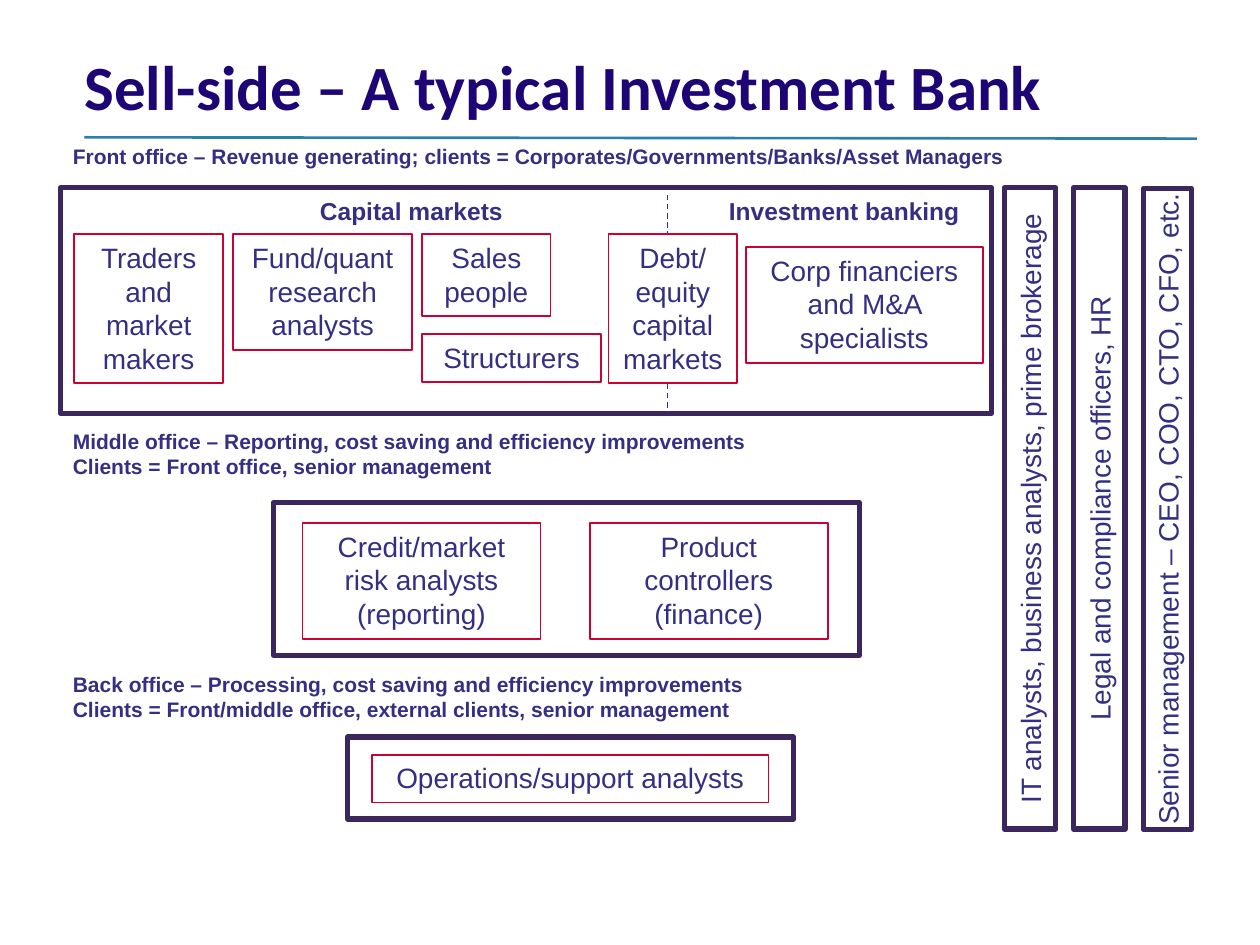
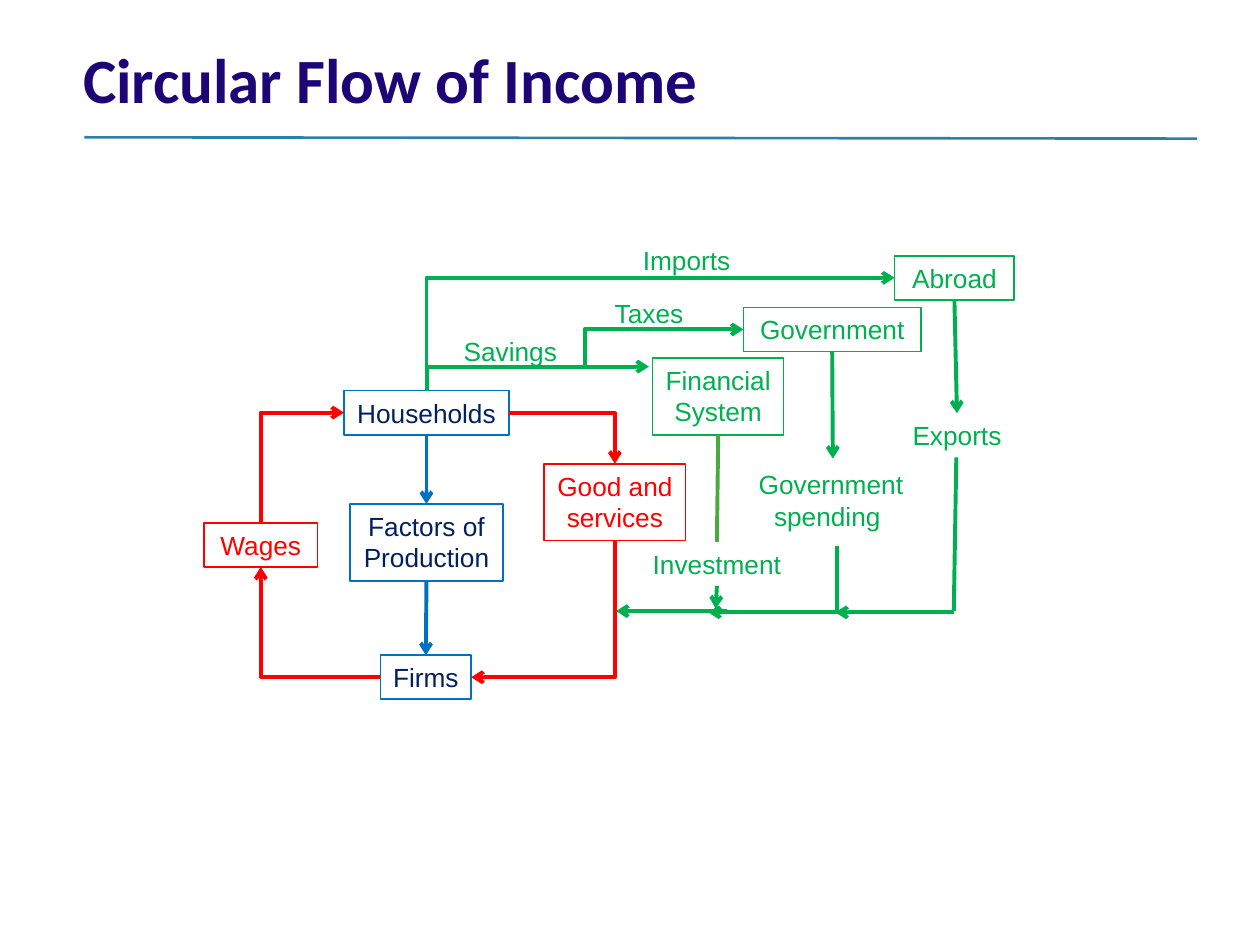
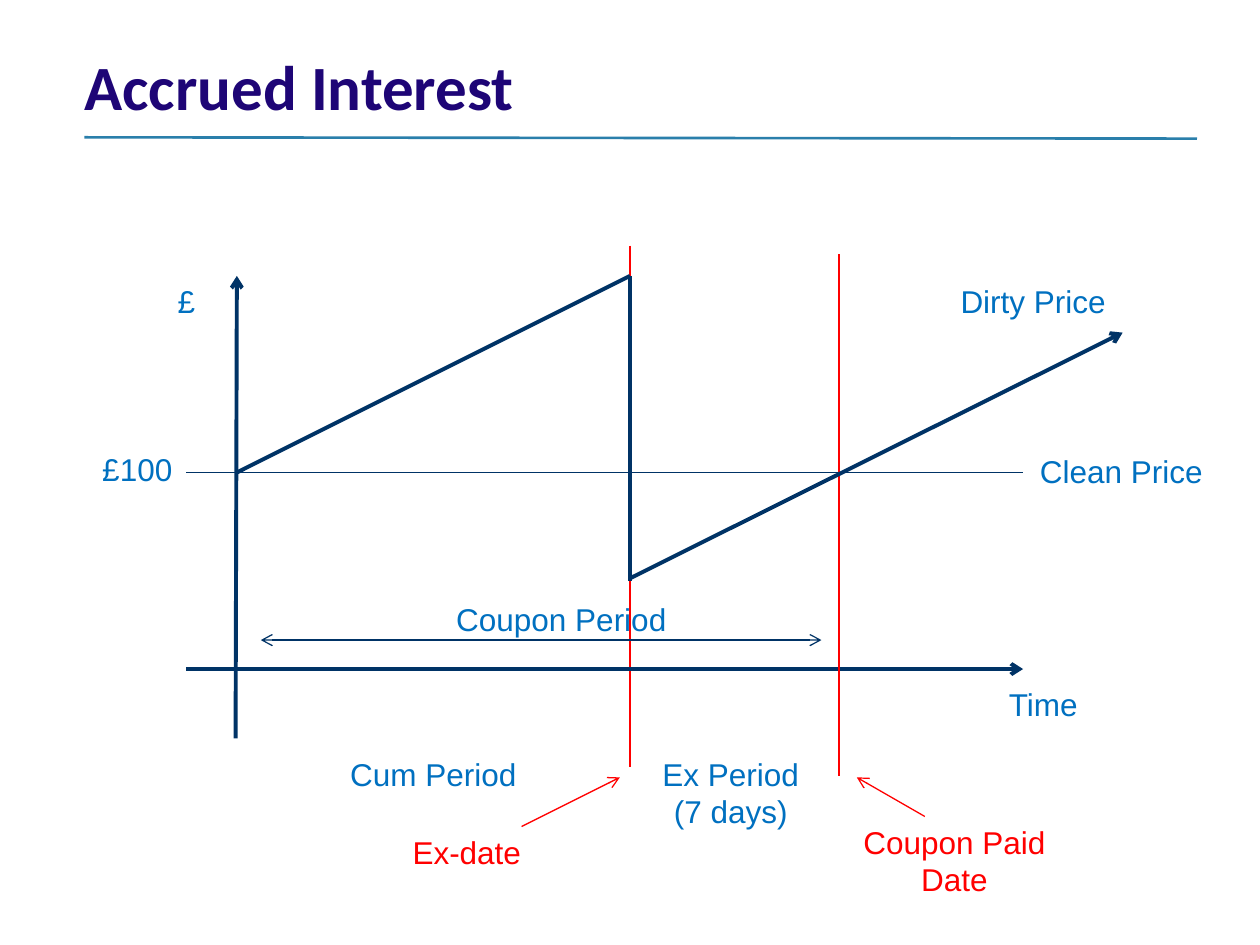
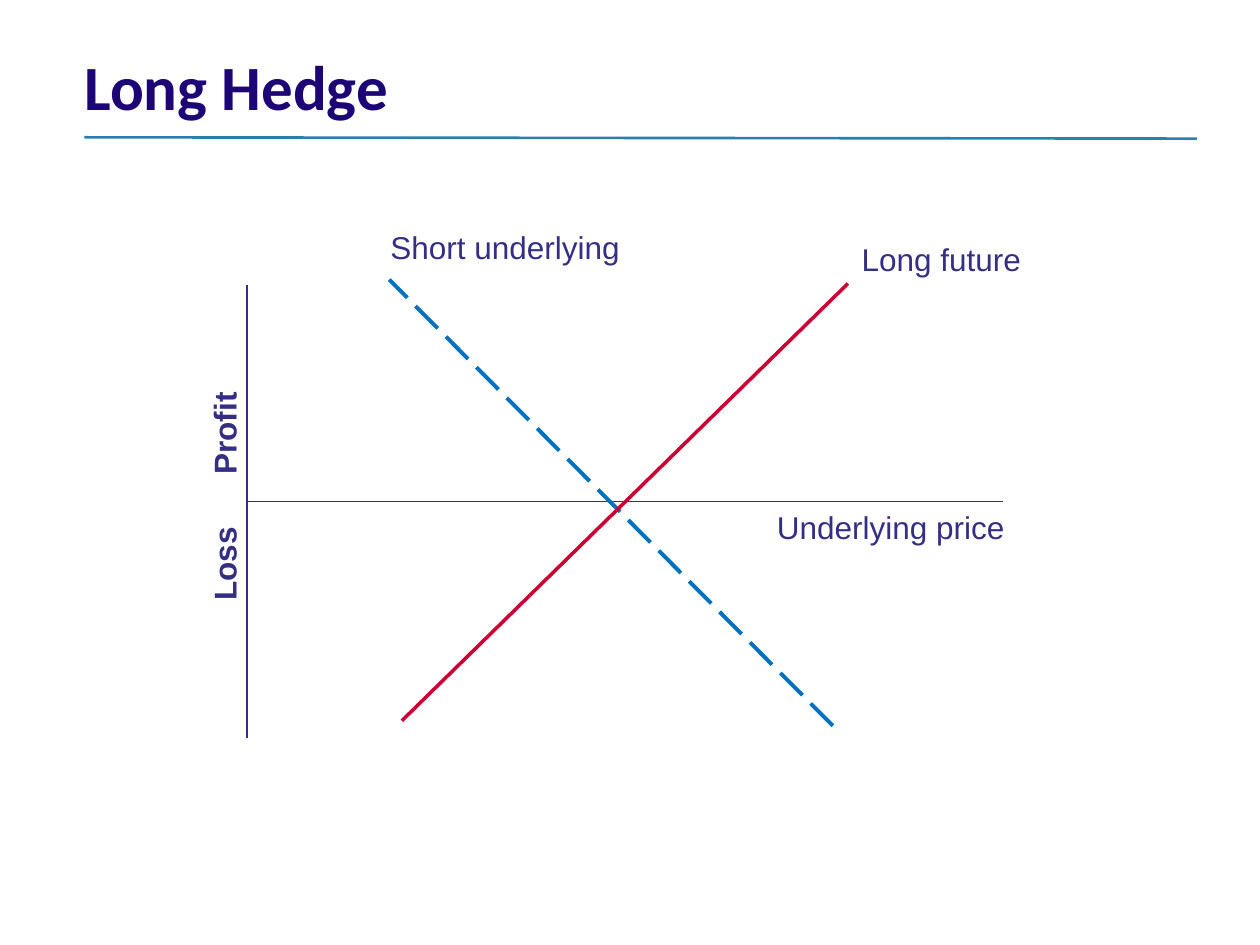
from dataclasses import dataclass

from pptx import Presentation
from pptx.dml.color import RGBColor
from pptx.enum.dml import MSO_LINE
from pptx.enum.shapes import MSO_CONNECTOR, MSO_SHAPE
from pptx.enum.text import MSO_ANCHOR, MSO_AUTO_SIZE, PP_ALIGN
from pptx.oxml.ns import qn
from pptx.util import Pt
from lxml import etree

PX = 9144  # one px is a hundredth of an inch
LEFT, CENTER, RIGHT = PP_ALIGN.LEFT, PP_ALIGN.CENTER, PP_ALIGN.RIGHT
TOP_ANCHOR, MIDDLE_ANCHOR = MSO_ANCHOR.TOP, MSO_ANCHOR.MIDDLE
GROW, FIXED = MSO_AUTO_SIZE.SHAPE_TO_FIT_TEXT, MSO_AUTO_SIZE.NONE
STRAIGHT, ELBOW = MSO_CONNECTOR.STRAIGHT, MSO_CONNECTOR.ELBOW
DASH, LONG_DASH = MSO_LINE.DASH, MSO_LINE.LONG_DASH
TOP_SITE, LEFT_SITE, BOTTOM_SITE, RIGHT_SITE = range(4)


@dataclass(frozen=True)
class Theme:
    title_font: str = "Calibri"
    body_font: str = "Arial"
    title_size: int = 36
    chart_size: int = 18
    role_size: int = 16
    flow_size: int = 15
    group_size: int = 14
    office_size: int = 12
    title: str = "1E0576"
    rule: str = "2A7FAB"
    indigo: str = "352F84"
    purple: str = "3B265E"
    crimson: str = "CC0033"
    white: str = "FFFFFF"
    red: str = "FF0000"
    blue: str = "0070C0"
    navy: str = "002060"
    axis: str = "003366"
    green: str = "00B050"
    leaf: str = "4AAA42"


theme = Theme()


def add_box(page, frame, text="", size=theme.role_size, color=theme.indigo, align=CENTER,
            bold=False, line=None, line_width=1, fill=None, rotation=0, upright=True):
    """Add a text box, or a rectangle when it has a line or a fill."""
    frame = [value * PX for value in frame]
    if line or fill:
        box = page.shapes.add_shape(MSO_SHAPE.RECTANGLE, *frame)
        box.shadow.inherit = False
    else:
        box = page.shapes.add_textbox(*frame)
    if fill:
        box.fill.solid()
        box.fill.fore_color.rgb = RGBColor.from_string(fill)
    else:
        box.fill.background()
    if line:
        box.line.color.rgb = RGBColor.from_string(line)
        box.line.width = Pt(line_width)
    else:
        box.line.fill.background()
    box.rotation = rotation
    if text:
        body = box.text_frame
        body.text = text
        body.word_wrap = upright
        body.auto_size = GROW if upright else FIXED
        body.vertical_anchor = TOP_ANCHOR if upright else MIDDLE_ANCHOR
        for para in body.paragraphs:
            para.alignment = align
            para.font.name = theme.body_font
            para.font.size = Pt(size)
            para.font.bold = bold
            para.font.color.rgb = RGBColor.from_string(color)
    return box


def add_line(page, start, end, color, width, ends="", dash=None, bend=None):
    """Join two points or (box, site) pairs; ends names the ends with arrowheads.

    bend is None (straight), "middle", "across" (across first) or "upright" (upright first).
    """
    line = page.shapes.add_connector(ELBOW if bend else STRAIGHT, 0, 0, 0, 0)
    if isinstance(start[0], int):
        line.begin_x, line.begin_y = start[0] * PX, start[1] * PX
    else:
        line.begin_connect(*start)
    if isinstance(end[0], int):
        line.end_x, line.end_y = end[0] * PX, end[1] * PX
    else:
        line.end_connect(*end)
    properties = line._element.spPr
    if bend in ("across", "upright"):
        properties.find(qn("a:prstGeom")).set("prst", "bentConnector2")
    if bend == "upright":
        # A quarter turn makes the one-bend connector leave vertically
        rightward, upward = line.end_x > line.begin_x, line.end_y < line.begin_y
        left, top, width_now, height_now = line.left, line.top, line.width, line.height
        line.left = left + (width_now - height_now) // 2
        line.top = top + (height_now - width_now) // 2
        line.width, line.height = height_now, width_now
        frame = properties.find(qn("a:xfrm"))
        frame.set("rot", "5400000")
        frame.set("flipH", str(int(upward)))
        frame.set("flipV", str(int(rightward)))
    line.line.color.rgb = RGBColor.from_string(color)
    line.line.width = Pt(width)
    if dash:
        line.line.dash_style = dash
    for name in ("head", "tail"):
        if name in ends:
            etree.SubElement(properties.find(qn("a:ln")), qn(f"a:{name}End"), type="arrow")
    etree.SubElement(properties, qn("a:effectLst"))
    return line


deck = Presentation()
deck.slide_width, deck.slide_height = 1000 * PX, 750 * PX
title_only = deck.slide_layouts[5]

# Titles
pages = []
for text, left, top in [
    ("Sell-side – A typical Investment Bank", 67, 28),
    ("Circular Flow of Income", 66, 23),
    ("Accrued Interest", 67, 28),
    ("Long Hedge", 67, 28),
]:
    page = deck.slides.add_slide(title_only)
    title = page.shapes.title
    title.left, title.top, title.width, title.height = left * PX, top * PX, 882 * PX, 79 * PX
    body = title.text_frame
    body.text = text
    body.margin_left = body.margin_top = body.margin_right = body.margin_bottom = 0
    body.vertical_anchor = MIDDLE_ANCHOR
    body.auto_size = FIXED
    para = body.paragraphs[0]
    para.alignment = LEFT
    para.font.name = theme.title_font
    para.font.size = Pt(theme.title_size)
    para.font.bold = True
    para.font.color.rgb = RGBColor.from_string(theme.title)
    pages.append(page)
bank, income, interest, hedge = pages

# Rule under the title, moved to the layout so that every slide shows it
rule = add_line(bank, (67, 109), (950, 110), theme.rule, 1.5)
title_only.shapes._spTree.append(rule._element)

# Slide 1: office frames
for frame in [(48, 149, 739, 179), (217, 399, 465, 121), (276, 585, 354, 65)]:
    add_box(bank, frame, line=theme.purple, line_width=3)

# Slide 1: divider between capital markets and investment banking
for top, bottom in [(155, 186), (305, 328)]:
    add_line(bank, (530, top), (530, bottom), theme.indigo, 0.75, dash=DASH)

# Slide 1: roles
for text, *frame in [
    ("Traders and market makers", 59, 186, 118, 118),
    ("Fund/quant research analysts", 185, 186, 142, 92),
    ("Sales people", 335, 186, 102, 65),
    ("Structurers", 335, 265, 142, 38),
    ("Debt/ equity capital markets", 483, 186, 102, 118),
    ("Corp financiers and M&A specialists", 592, 196, 188, 92),
    ("Credit/market risk analysts (reporting)", 240, 415, 189, 92),
    ("Product controllers (finance)", 468, 415, 189, 92),
    ("Operations/support analysts", 295, 599, 315, 38),
]:
    add_box(bank, frame, text, line=theme.crimson)

# Slide 1: functions that span all offices
for text, *frame in [
    ("IT analysts, business analysts, prime brokerage", 563, 383, 509, 41),
    ("Legal and compliance officers, HR", 618, 383, 509, 41),
    ("Senior management – CEO, COO, CTO, CFO, etc.", 672, 385, 509, 38),
]:
    add_box(bank, frame, text, line=theme.purple, line_width=3, rotation=270, upright=False)

# Slide 1: office and group headings
for text, *frame in [
    ("Front office – Revenue generating; clients = Corporates/Governments/Banks/Asset Managers",
     48, 109, 858, 30),
    ("Middle office – Reporting, cost saving and efficiency improvements\v"
     "Clients = Front office, senior management", 48, 335, 823, 50),
    ("Back office – Processing, cost saving and efficiency improvements\v"
     "Clients = Front/middle office, external clients, senior management", 48, 528, 819, 50),
]:
    add_box(bank, frame, text, theme.office_size, align=LEFT, bold=True)
for text, *frame in [("Capital markets", 59, 151, 535, 33),
                     ("Investment banking", 544, 151, 252, 33)]:
    add_box(bank, frame, text, theme.group_size, bold=True)

# Slide 2: actors and flows
nodes = {}
for text, color, line, *frame in [
    ("Taxes ", theme.green, None, 473, 231, 90, 35),
    ("Savings ", theme.green, None, 358, 261, 100, 35),
    ("Imports ", theme.green, None, 500, 189, 90, 35),
    ("Exports ", theme.green, None, 714, 328, 91, 35),
    ("Investment ", theme.green, None, 507, 430, 124, 35),
    ("Government spending ", theme.green, None, 591, 367, 137, 61),
    ("Households", theme.navy, theme.blue, 273, 310, 131, 35),
    ("Factors of Production", theme.navy, theme.blue, 278, 400, 121, 61),
    ("Firms", theme.navy, theme.blue, 302, 520, 72, 35),
    ("Wages", theme.red, theme.red, 162, 415, 90, 35),
    ("Good and services", theme.red, theme.red, 432, 368, 112, 61),
    ("Financial System", theme.green, theme.green, 518, 284, 104, 61),
    ("Government", theme.green, theme.green, 590, 244, 141, 35),
    ("Abroad", theme.green, theme.green, 710, 203, 95, 35),
]:
    nodes[text.strip()] = add_box(income, frame, text, theme.flow_size, color,
                                  line=line, fill=theme.white)
households, firms, wages = nodes["Households"], nodes["Firms"], nodes["Wages"]
factors, goods, abroad = nodes["Factors of Production"], nodes["Good and services"], nodes["Abroad"]
government, investment = nodes["Government"], nodes["Investment"]

# Slide 2: arrows
for start, end, color, bend in [
    ((households, BOTTOM_SITE), (factors, TOP_SITE), theme.blue, None),
    ((factors, BOTTOM_SITE), (firms, TOP_SITE), theme.blue, None),
    ((firms, LEFT_SITE), (wages, BOTTOM_SITE), theme.red, "across"),
    ((wages, TOP_SITE), (households, LEFT_SITE), theme.red, "upright"),
    ((households, RIGHT_SITE), (goods, TOP_SITE), theme.red, "across"),
    ((goods, BOTTOM_SITE), (firms, RIGHT_SITE), theme.red, "upright"),
    ((households, TOP_SITE), (515, 291), theme.green, "upright"),
    ((households, TOP_SITE), (abroad, LEFT_SITE), theme.green, "upright"),
    ((338, 291), (government, LEFT_SITE), theme.green, "middle"),
    ((government, BOTTOM_SITE), (661, 364), theme.green, None),
    ((abroad, BOTTOM_SITE), (nodes["Exports"], TOP_SITE), theme.green, None),
    ((664, 433), (562, 486), theme.green, "upright"),
    ((757, 486), (663, 486), theme.green, None),
    ((577, 485), (489, 485), theme.green, None),
    ((investment, BOTTOM_SITE), (568, 483), theme.green, None),
]:
    add_line(income, start, end, color, 2.25, "tail", bend=bend)
add_line(income, (759, 363), (757, 485), theme.green, 2.25)
add_line(income, (570, 345), (investment, TOP_SITE), theme.leaf, 2.25)

# Slide 3: dates, axes and prices
for start, end, color, width, ends in [
    ((500, 195), (500, 609), theme.red, 0.75, ""),
    ((187, 586), (188, 219), theme.axis, 2.25, "tail"),
    ((148, 531), (812, 531), theme.axis, 2.25, "tail"),
    ((148, 375), (812, 375), theme.axis, 0.75, ""),
    ((188, 375), (500, 219), theme.axis, 2.25, ""),
    ((500, 219), (500, 461), theme.axis, 2.25, ""),
    ((666, 202), (666, 616), theme.red, 0.75, ""),
    ((500, 459), (891, 264), theme.axis, 2.25, "tail"),
    ((414, 656), (492, 617), theme.red, 0.75, "tail"),
    ((734, 648), (680, 617), theme.red, 0.75, "tail"),
    ((207, 508), (652, 508), theme.axis, 0.75, "head tail"),
]:
    add_line(interest, start, end, color, width, ends)

# Slide 3: labels
for text, color, *frame in [
    ("Cum Period", theme.blue, 266, 594, 156, 40),
    ("Ex Period\n(7 days)", theme.blue, 502, 594, 156, 71),
    ("Dirty Price", theme.blue, 742, 219, 156, 40),
    ("£", theme.blue, 70, 219, 156, 40),
    ("Time", theme.blue, 750, 539, 156, 40),
    ("£100", theme.blue, 31, 352, 156, 40),
    ("Clean Price", theme.blue, 812, 354, 156, 40),
    ("Coupon Period", theme.blue, 344, 471, 203, 40),
    ("Ex-date", theme.red, 312, 656, 117, 40),
    ("Coupon Paid Date", theme.red, 648, 648, 219, 71),
]:
    add_box(interest, frame, text, theme.chart_size, color)

# Slide 4: axes and positions
for start, end, color, width, dash in [
    ((196, 226), (196, 586), theme.indigo, 1, None),
    ((196, 398), (796, 398), theme.indigo, 1, None),
    ((661, 576), (309, 222), theme.blue, 2.25, LONG_DASH),
    ((319, 572), (673, 225), theme.crimson, 2, None),
]:
    add_line(hedge, start, end, color, width, dash=dash)

# Slide 4: labels
add_box(hedge, (41, 374, 274, 40), "Loss\tProfit", theme.chart_size, bold=True, rotation=270)
for text, align, *frame in [
    ("Underlying price", RIGHT, 586, 398, 221, 40),
    ("Short underlying", LEFT, 300, 176, 233, 40),
    ("Long future", LEFT, 674, 186, 199, 40),
]:
    add_box(hedge, frame, text, theme.chart_size, align=align)

deck.save("out.pptx")
